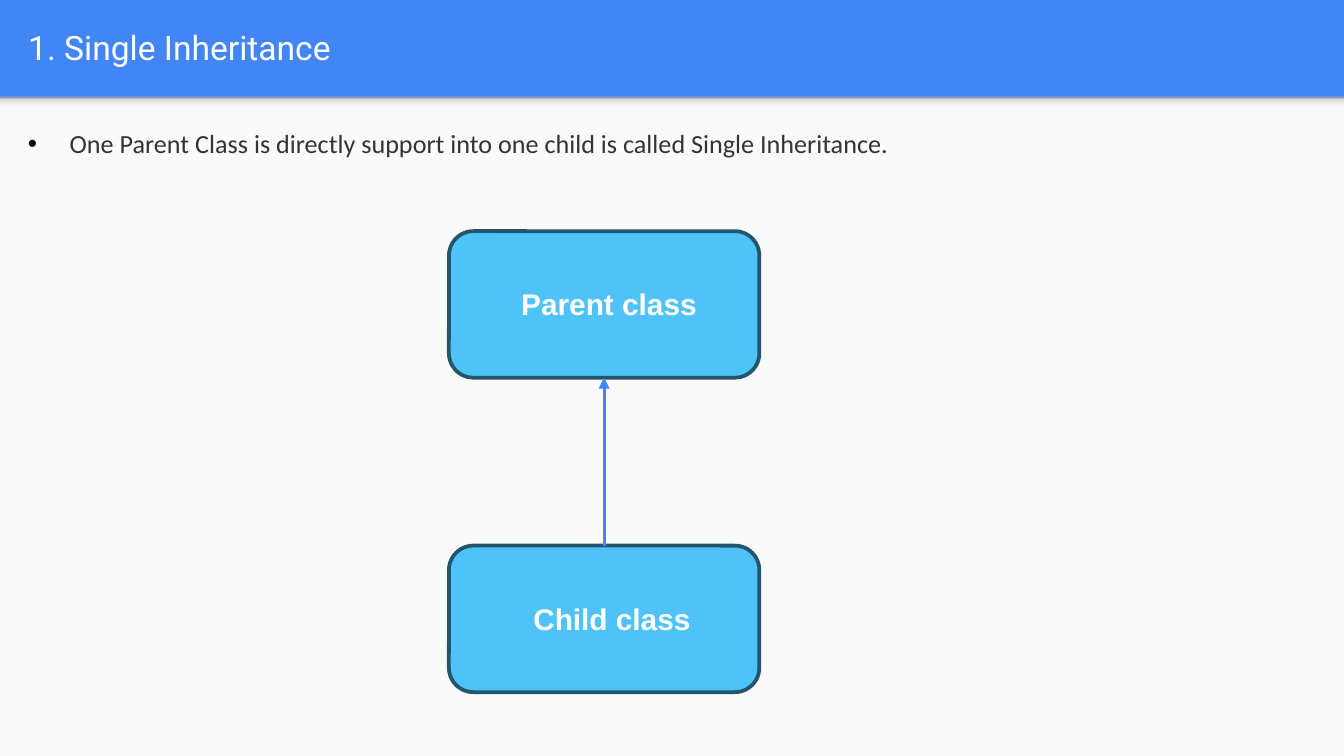
from copy import deepcopy

from lxml.etree import SubElement
from pptx import Presentation
from pptx.dml.color import RGBColor
from pptx.enum.shapes import MSO_CONNECTOR as Connector, MSO_SHAPE as Shape
from pptx.enum.text import MSO_ANCHOR as Anchor, MSO_AUTO_SIZE as AutoSize, PP_ALIGN as Align
from pptx.oxml.ns import qn
from pptx.util import Inches, Pt

BLUE = "4285F4"
TITLE_FORMAT = {"name": "Roboto", "size": Pt(18), "bold": False}
BODY_FORMAT = {"name": "Calibri", "size": Pt(14), "bold": False}
LABEL_FORMAT = {"name": "Arial", "size": Pt(16), "bold": True}
SHADOW_STOPS = [(0, "F9F9F9"), (0.36, "F9F9F9"), (0.8, "DEDEDE"), (1, "999999")]
SLIDE_WIDTH = 10
SLIDE_HEIGHT = SLIDE_WIDTH * 9 / 16
HEADER_HEIGHT = 0.72
BOX_LEFT, BOX_WIDTH, BOX_HEIGHT = 3.34, 2.31, 1.09


def color(hex_value):
    return RGBColor.from_string(hex_value)


def paint(fill, hex_value):
    fill.solid()
    fill.fore_color.rgb = color(hex_value)


def write_text(shape, text, font_format, hex_value):
    paragraph = shape.text_frame.paragraphs[0]
    paragraph.alignment = Align.LEFT
    run = paragraph.add_run()
    run.text = text
    for name, value in font_format.items():
        setattr(run.font, name, value)
    run.font.color.rgb = color(hex_value)
    return paragraph


def add_text(slide, box, text, font_format, hex_value):
    shape = slide.shapes.add_textbox(*map(Inches, box))
    shape.text_frame.word_wrap = True
    return write_text(shape, text, font_format, hex_value)


def add_block(slide, kind, box):
    shape = slide.shapes.add_shape(kind, *map(Inches, box))
    shape.shadow.inherit = False
    shape.line.fill.background()
    return shape


def add_panel(slide):
    box = (0, HEADER_HEIGHT, SLIDE_WIDTH, SLIDE_HEIGHT - HEADER_HEIGHT)
    panel = add_block(slide, Shape.RECTANGLE, box)
    paint(panel.fill, "FAFAFA")


def add_header_shadow(slide):
    strip = add_block(slide, Shape.RECTANGLE, (0, HEADER_HEIGHT, SLIDE_WIDTH, 0.12))
    strip.fill.gradient()
    strip.fill.gradient_angle = 90
    stop_list = strip.element.spPr.find(".//" + qn("a:gsLst"))
    for _ in range(len(SHADOW_STOPS) - len(stop_list)):
        stop_list.append(deepcopy(stop_list[0]))
    for stop, (position, hex_value) in zip(strip.fill.gradient_stops, SHADOW_STOPS):
        stop.position = position
        stop.color.rgb = color(hex_value)


def set_title(slide, text):
    title = slide.shapes.title
    title.left, title.top, title.width, title.height = map(Inches, (0.11, 0.02, 9.65, 0.66))
    frame = title.text_frame
    frame.auto_size = AutoSize.NONE
    frame.vertical_anchor = Anchor.MIDDLE
    for side in ("left", "top", "right", "bottom"):
        setattr(frame, f"margin_{side}", Inches(0.1))
    write_text(title, text, TITLE_FORMAT, "FFFFFF")


def add_bullet(slide, text):
    paragraph = add_text(slide, (0.11, 0.9, 9.65, 1.41), text, BODY_FORMAT, "333333")
    properties = paragraph._p.get_or_add_pPr()
    properties.set("marL", str(Inches(0.31)))
    properties.set("indent", str(-Inches(0.31)))
    bullet_color = SubElement(properties, qn("a:buClr"))
    SubElement(bullet_color, qn("a:srgbClr"), val="000000")
    SubElement(properties, qn("a:buFont"), typeface="Arial")
    SubElement(properties, qn("a:buChar"), char="•")


def add_class_box(slide, top, label, label_left, label_width):
    box = add_block(slide, Shape.ROUNDED_RECTANGLE, (BOX_LEFT, top, BOX_WIDTH, BOX_HEIGHT))
    paint(box.fill, "4FC3F7")
    paint(box.line.fill, "23556C")
    box.line.width = Pt(2)
    label_box = (label_left, top + 0.36, label_width, 0.37)
    add_text(slide, label_box, label, LABEL_FORMAT, "FFFFFF")
    return box


def add_arrow(slide, child, parent):
    arrow = slide.shapes.add_connector(Connector.STRAIGHT, 0, 0, 0, 0)
    arrow.begin_connect(child, 0)
    arrow.end_connect(parent, 2)
    paint(arrow.line.fill, BLUE)
    arrow.line.width = Pt(1.5)
    SubElement(arrow.line._get_or_add_ln(), qn("a:tailEnd"), type="triangle")
    SubElement(arrow._element.spPr, qn("a:effectLst"))


def main():
    presentation = Presentation()
    presentation.slide_width = Inches(SLIDE_WIDTH)
    presentation.slide_height = Inches(SLIDE_HEIGHT)
    slide = presentation.slides.add_slide(presentation.slide_layouts[5])
    paint(slide.background.fill, BLUE)
    add_panel(slide)
    add_header_shadow(slide)
    set_title(slide, "1. Single Inheritance")
    add_bullet(slide, "One Parent Class is directly support into one child is called Single Inheritance.")
    parent = add_class_box(slide, 1.72, "Parent class", 3.78, 2.05)
    child = add_class_box(slide, 4.06, "Child class", 3.87, 1.39)
    add_arrow(slide, child, parent)
    presentation.save("out.pptx")


if __name__ == "__main__":
    main()
